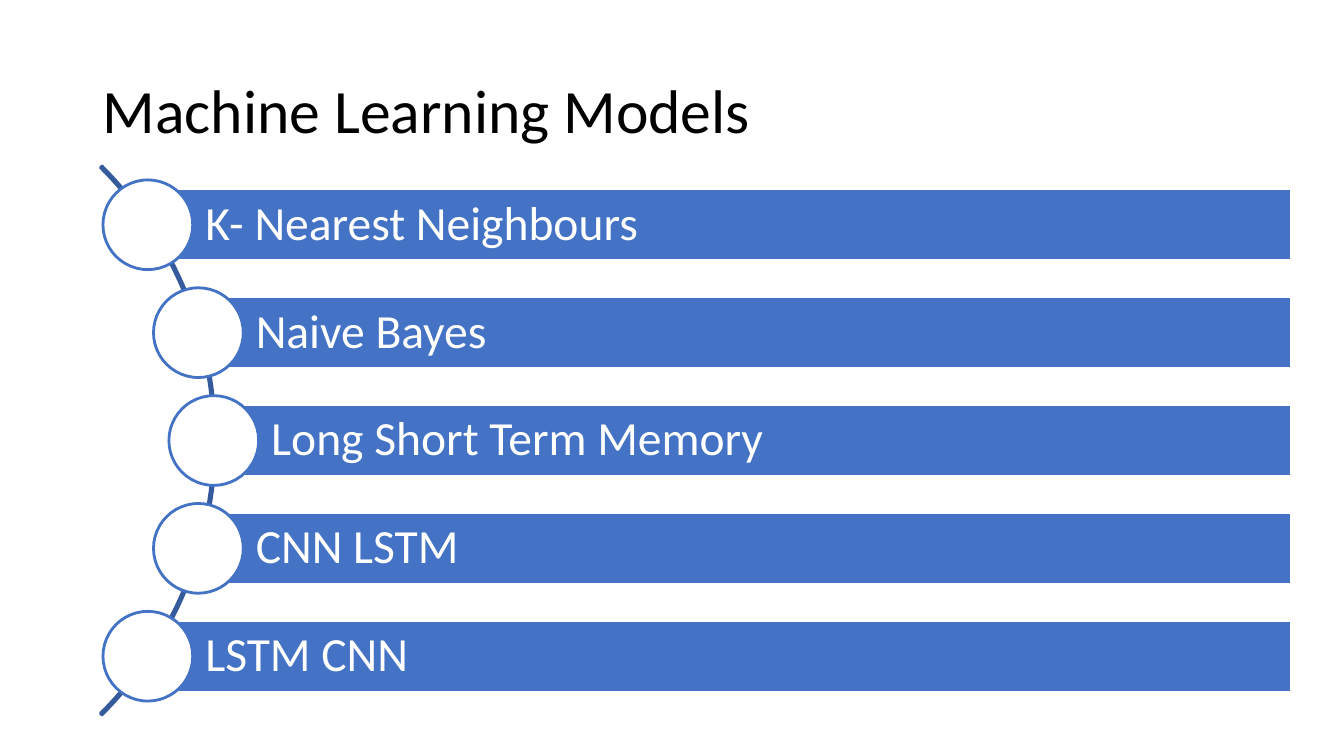
from math import sqrt

from pptx import Presentation
from pptx.dml.color import RGBColor
from pptx.enum.shapes import MSO_SHAPE
from pptx.enum.text import MSO_ANCHOR, PP_ALIGN
from pptx.util import Inches, Pt

RECT, OVAL, ARC = MSO_SHAPE.RECTANGLE, MSO_SHAPE.OVAL, MSO_SHAPE.BLOCK_ARC
MIDDLE, LEFT = MSO_ANCHOR.MIDDLE, PP_ALIGN.LEFT

BLACK = RGBColor(0x00, 0x00, 0x00)
WHITE = RGBColor(0xFF, 0xFF, 0xFF)
BLUE = RGBColor(0x44, 0x72, 0xC4)
DARK_BLUE = RGBColor(0x36, 0x5B, 0x9D)

FONT = "Calibri"
SLIDE_W, SLIDE_H = 13.33, 7.5
MODELS = ["K- Nearest Neighbours", "Naive Bayes", "Long Short Term Memory",
          "CNN LSTM", "LSTM CNN"]

# Rows are spaced evenly about the centre of the arc
CENTRE_X, CENTRE_Y = -1.71, 4.37
ARC_SIZE = 7.7
TRACK_RADIUS = 3.83
ROW_PITCH = 1.07
BAR_H, BAR_RIGHT = 0.71, 12.81
DOT_SIZE = 0.89


def write_text(shape, text, size, color, insets, space_after=0):
    tf = shape.text_frame
    tf.word_wrap = True
    tf.vertical_anchor = MIDDLE
    tf.margin_left, tf.margin_top, tf.margin_right, tf.margin_bottom = (
        Inches(inset) for inset in insets)
    p = tf.paragraphs[0]
    p.alignment = LEFT
    p.line_spacing = 0.9
    p.space_after = Pt(space_after)
    r = p.add_run()
    r.text = text
    r.font.name = FONT
    r.font.size = Pt(size)
    r.font.color.rgb = color


def add_shape(parent, kind, x, y, w, h, line, fill=None):
    sp = parent.shapes.add_shape(kind, Inches(x), Inches(y), Inches(w), Inches(h))
    sp.shadow.inherit = False
    if fill is None:
        sp.fill.background()
    else:
        sp.fill.solid()
        sp.fill.fore_color.rgb = fill
    sp.line.color.rgb = line
    sp.line.width = Pt(2)
    return sp


def add_title(s, text):
    box = s.shapes.add_textbox(Inches(0.92), Inches(0.4), Inches(11.5), Inches(1.45))
    write_text(box, text, size=44, color=BLACK, insets=(0.1, 0.05, 0.1, 0.05))


def add_arc(group):
    arc = add_shape(group, ARC, CENTRE_X - ARC_SIZE / 2, CENTRE_Y - ARC_SIZE / 2,
                    ARC_SIZE, ARC_SIZE, line=DARK_BLUE)
    for i, value in enumerate((189, 27, 0.003)):
        arc.adjustments[i] = value


def add_model(group, row, text):
    # The bar starts at the middle of its circle, which sits on the arc
    offset = (row - (len(MODELS) - 1) / 2) * ROW_PITCH
    x = CENTRE_X + sqrt(TRACK_RADIUS ** 2 - offset ** 2)
    y = CENTRE_Y + offset
    bar = add_shape(group, RECT, x, y - BAR_H / 2, BAR_RIGHT - x, BAR_H,
                    line=WHITE, fill=BLUE)
    write_text(bar, text, size=34, color=WHITE,
               insets=(0.57, 0.09, 0.09, 0.09), space_after=11.9)
    add_shape(group, OVAL, x - DOT_SIZE / 2, y - DOT_SIZE / 2, DOT_SIZE, DOT_SIZE,
              line=BLUE, fill=WHITE)


def main():
    prs = Presentation()
    prs.slide_width, prs.slide_height = Inches(SLIDE_W), Inches(SLIDE_H)
    s = prs.slides.add_slide(prs.slide_layouts[6])

    add_title(s, "Machine Learning Models")

    # Curved list of models
    group = s.shapes.add_group_shape()
    add_arc(group)
    for row, text in enumerate(MODELS):
        add_model(group, row, text)

    prs.save("out.pptx")


if __name__ == "__main__":
    main()
